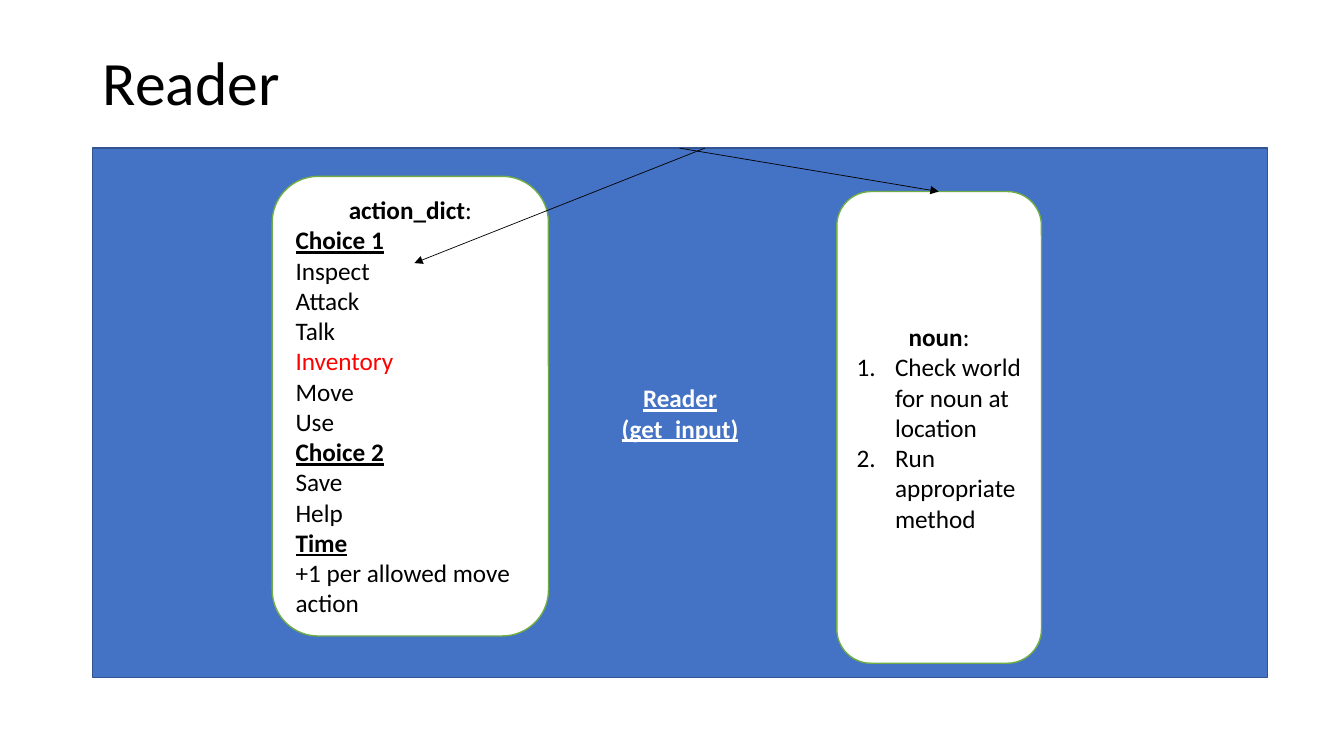
from lxml import etree
from pptx import Presentation
from pptx import util as u
from pptx.dml.color import RGBColor
from pptx.enum import shapes, text
from pptx.oxml import ns

BLACK, WHITE, RED = "000000", "FFFFFF", "FF0000"
BLUE, NAVY, GREEN = "4472C4", "325491", "70AD47"
LEFT, CENTER = text.PP_ALIGN.LEFT, text.PP_ALIGN.CENTER


def rgb(color):
    return RGBColor.from_string(color)


class Page:
    font = "Calibri"
    size = 18

    def __init__(self, deck):
        self.slide = deck.slides.add_slide(deck.slide_layouts[6])

    def fill_para(self, para, words, size=None, color=BLACK, align=LEFT, bold=False, underline=False):
        para.alignment = align
        para.add_run().text = words
        font = para.font
        font.name, font.size = self.font, u.Pt(size or self.size)
        font.bold, font.underline = bold, underline
        font.color.rgb = rgb(color)

    def next_para(self, frame):
        return frame.add_paragraph() if frame.text else frame.paragraphs[0]

    def title(self, place, words):
        box = self.slide.shapes.add_textbox(*map(u.Inches, place))
        frame = box.text_frame
        frame.word_wrap = True
        frame.vertical_anchor = text.MSO_ANCHOR.MIDDLE
        para = frame.paragraphs[0]
        para.line_spacing = 0.9
        self.fill_para(para, words, size=44)

    def panel(self, kind, place, fill, line):
        shape = self.slide.shapes.add_shape(kind, *map(u.Inches, place))
        shape.shadow.inherit = False
        shape.fill.solid()
        shape.fill.fore_color.rgb = rgb(fill)
        shape.line.color.rgb = rgb(line)
        shape.line.width = u.Pt(1)
        frame = shape.text_frame
        frame.word_wrap = True
        frame.vertical_anchor = text.MSO_ANCHOR.MIDDLE
        return frame

    def card(self, place, name):
        frame = self.panel(shapes.MSO_SHAPE.ROUNDED_RECTANGLE, place, WHITE, GREEN)
        para = frame.paragraphs[0]
        self.fill_para(para, name, align=CENTER)
        para.runs[0].font.bold = True
        para.add_run().text = ":"
        return frame

    def line(self, frame, words, **style):
        self.fill_para(self.next_para(frame), words, **style)

    def heading(self, frame, words, **style):
        self.line(frame, words, bold=True, underline=True, **style)

    def step(self, frame, words):
        para = self.next_para(frame)
        self.fill_para(para, words)
        props = para._p.get_or_add_pPr()
        indent = u.Inches(0.38)
        props.set("marL", str(indent))
        props.set("indent", str(-indent))
        number = etree.Element(ns.qn("a:buAutoNum"), type="arabicPeriod")
        props.insert_element_before(number, "a:tabLst", "a:defRPr", "a:extLst")

    def arrow(self, start, end):
        link = self.slide.shapes.add_connector(
            shapes.MSO_CONNECTOR.STRAIGHT, *map(u.Inches, start + end))
        link.line.color.rgb = rgb(BLACK)
        link.line.width = u.Pt(0.5)
        etree.SubElement(link.line._get_or_add_ln(), ns.qn("a:tailEnd"), type="triangle")
        etree.SubElement(link._element.spPr, ns.qn("a:effectLst"))


deck = Presentation()
deck.slide_width, deck.slide_height = u.Inches(13.33), u.Inches(7.5)
page = Page(deck)
page.title((0.92, 0.4, 11.5, 0.89), "Reader")

reader = page.panel(shapes.MSO_SHAPE.RECTANGLE, (0.92, 1.47, 11.65, 5.25), BLUE, NAVY)
for words in ("Reader", "(get_input)"):
    page.heading(reader, words, color=WHITE, align=CENTER)

actions = page.card((2.7, 1.75, 2.74, 4.56), "action_dict")
choices = {
    "Choice 1": ("Inspect", "Attack", "Talk", "Inventory", "Move", "Use"),
    "Choice 2": ("Save", "Help"),
    "Time": ("+1 per allowed move action",),
}
for group, entries in choices.items():
    page.heading(actions, group)
    for entry in entries:
        page.line(actions, entry, color=RED if entry == "Inventory" else BLACK)

noun = page.card((8.3, 1.9, 2.03, 4.68), "noun")
for words in ("Check world for noun at location", "Run appropriate method"):
    page.step(noun, words)

page.arrow((6.99, 1.47), (4.11, 2.61))
page.arrow((6.74, 1.47), (9.31, 1.9))

deck.save("out.pptx")
